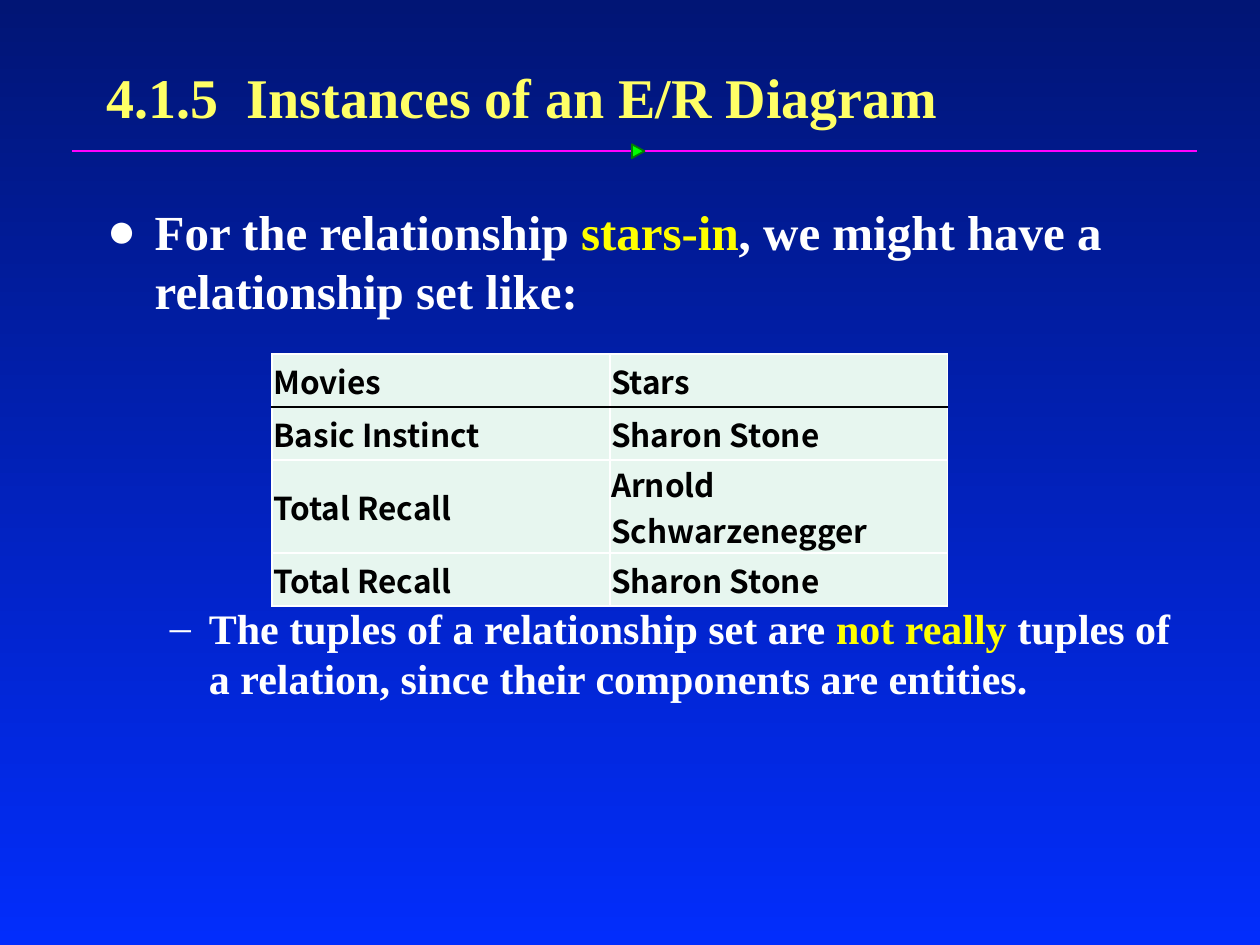
from pptx import Presentation
from pptx.util import Inches, Pt
from pptx.dml.color import RGBColor
from pptx.enum.shapes import MSO_CONNECTOR, MSO_SHAPE
from pptx.enum.text import MSO_ANCHOR
from pptx.oxml.ns import qn
from lxml.etree import SubElement

NAVY = RGBColor(0x01, 0x15, 0x75)
BLUE = RGBColor(0x02, 0x2D, 0xFC)
CREAM = RGBColor(0xFF, 0xFF, 0x66)
YELLOW = RGBColor(0xFF, 0xFF, 0x00)
WHITE = RGBColor(0xFF, 0xFF, 0xFF)
BLACK = RGBColor(0x00, 0x00, 0x00)
PINK = RGBColor(0xFF, 0x01, 0xFF)
LIME = RGBColor(0x00, 0xFF, 0x00)
GREEN = RGBColor(0x03, 0x7C, 0x03)
MINT = RGBColor(0xE7, 0xF6, 0xEF)
SERIF = "Times New Roman"
SANS = "Noto Sans CJK SC"


def add_run(para, text, size, color, face=SERIF):
    run = para.add_run()
    run.text = text
    run.font.size = Pt(size)
    run.font.bold = True
    run.font.name = face
    run.font.color.rgb = color


def add_box(left, top, width, height, anchor=MSO_ANCHOR.TOP):
    """Add a wrapping text box and return its first paragraph."""
    frame = slide.shapes.add_textbox(
        Inches(left), Inches(top), Inches(width), Inches(height)).text_frame
    frame.word_wrap = True
    frame.vertical_anchor = anchor
    return frame.paragraphs[0]


prs = Presentation()
prs.slide_width = Inches(10)
prs.slide_height = Inches(7.5)
slide = prs.slides.add_slide(prs.slide_layouts[6])

# Background
back = slide.background.fill
back.gradient()
back.gradient_angle = 270
for stop, color in zip(back.gradient_stops, (NAVY, BLUE)):
    stop.color.rgb = color

# Title
title = add_box(0.75, 0.28, 8.5, 0.97, MSO_ANCHOR.MIDDLE)
add_run(title, "4.1.5  Instances of an E/R Diagram", 32, CREAM)

# Rule with its marker
rule = slide.shapes.add_connector(
    MSO_CONNECTOR.STRAIGHT, Inches(0.57), Inches(1.2), Inches(9.5), Inches(1.2))
rule.line.color.rgb = PINK
rule.line.width = Pt(1)
SubElement(rule._element.spPr, qn("a:effectLst"))

mark = slide.shapes.add_shape(
    MSO_SHAPE.ISOSCELES_TRIANGLE, Inches(5.01), Inches(1.15), Inches(0.11), Inches(0.1))
mark.rotation = 90
mark.shadow.inherit = False
mark.fill.solid()
mark.fill.fore_color.rgb = LIME
mark.line.color.rgb = GREEN
mark.line.width = Pt(1)

# Bullets above and below the table: top, height, size, margin, hang, sign, runs
bullets = [
    (1.55, 1.1, 28, 0.38, 0.38, "●", [
        ("For the relationship ", WHITE),
        ("stars-in", YELLOW),
        (", we might have a relationship set like:", WHITE)]),
    (4.73, 1.0, 24, 0.81, 0.31, "–", [
        ("The tuples of a relationship set are ", WHITE),
        ("not really ", YELLOW),
        ("tuples of a relation, since their components are entities.", WHITE)]),
]
for top, height, size, margin, hang, sign, runs in bullets:
    para = add_box(0.75, top, 8.66, height)
    props = para._p.get_or_add_pPr()
    props.set("marL", str(Inches(margin)))
    props.set("indent", str(-Inches(hang)))
    SubElement(props, qn("a:buFont"), typeface=SERIF)
    SubElement(props, qn("a:buChar"), char=sign)
    for text, color in runs:
        add_run(para, text, size, color)

# Relationship set: row height and texts, the third row holding two lines
rows = [
    (0.42, "Movies", "Stars"),
    (0.42, "Basic Instinct", "Sharon Stone"),
    (0.74, "Total Recall", "Arnold Schwarzenegger"),
    (0.42, "Total Recall", "Sharon Stone"),
]
table = slide.shapes.add_table(
    len(rows), 2, Inches(2.16), Inches(2.81), Inches(5.36), Inches(2)).table
for r, (height, *texts) in enumerate(rows):
    table.rows[r].height = Inches(height)
    for c, text in enumerate(texts):
        cell = table.cell(r, c)
        props = cell._tc.get_or_add_tcPr()
        for side in ("lnL", "lnR", "lnT", "lnB"):
            dark = (r, side) in ((0, "lnB"), (1, "lnT"))
            edge = SubElement(props, qn("a:" + side), w=str(Pt(1)))
            paint = SubElement(edge, qn("a:solidFill"))
            SubElement(paint, qn("a:srgbClr"), val=str(BLACK if dark else WHITE))
        cell.fill.solid()
        cell.fill.fore_color.rgb = MINT
        cell.vertical_anchor = MSO_ANCHOR.MIDDLE
        cell.margin_left = cell.margin_right = cell.margin_top = Inches(0.01)
        cell.margin_bottom = 0
        add_run(cell.text_frame.paragraphs[0], text, 18, BLACK, SANS)

prs.save("out.pptx")
